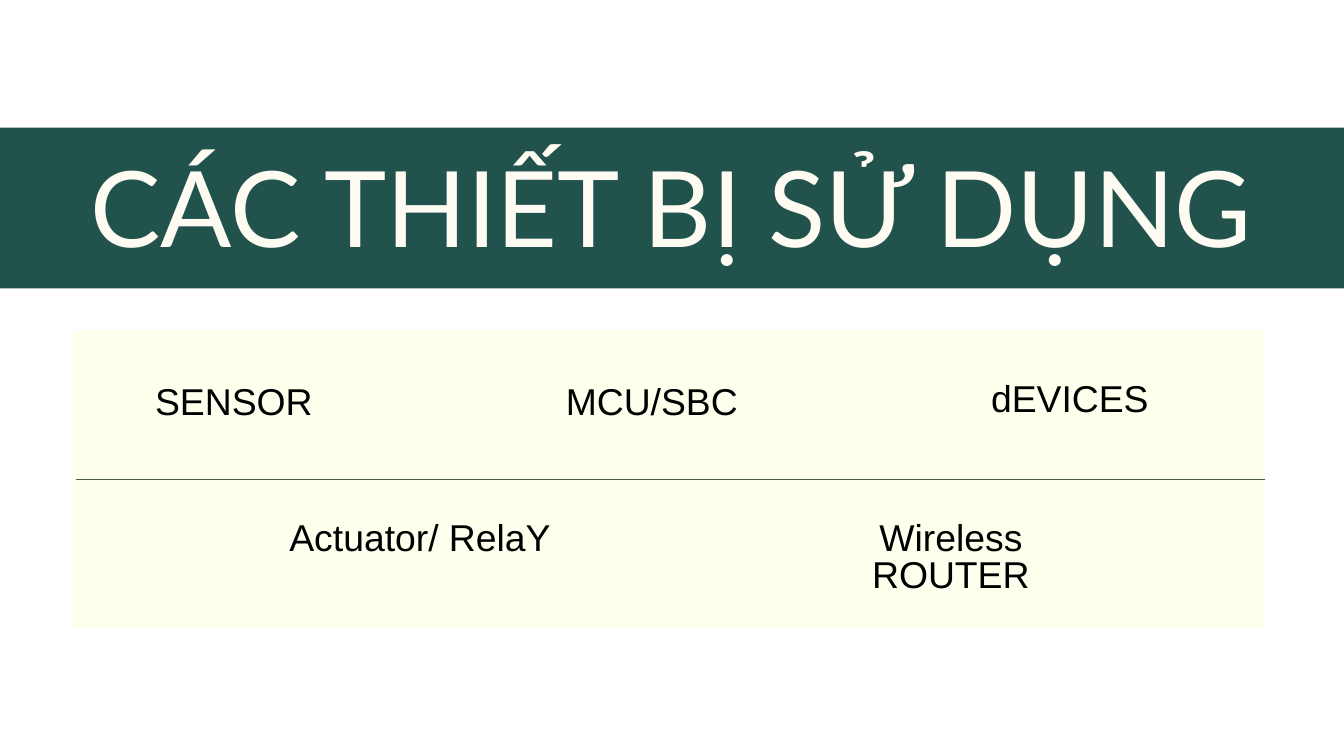
from typing import NamedTuple

from lxml import etree
from pptx import Presentation
from pptx.dml.color import RGBColor
from pptx.enum import shapes, text
from pptx.oxml.ns import qn
from pptx.util import Inches, Pt

HUES = {
    "green": "22524C",
    "cream": "FEFFED",
    "ivory": "FEFBF3",
    "black": "000000",
    "rule": "4B5D47",
}


class Box(NamedTuple):
    left: float
    top: float
    width: float
    height: float


class Label(NamedTuple):
    words: str
    box: Box


BAND = Box(0, 1.9, 20, 2.39)
PANEL = Box(1.07, 4.92, 17.75, 4.43)
TITLE = Box(1.12, 2.42, 17.75, 1.66)
LABELS = [
    Label("SENSOR", Box(1.39, 5.74, 4.18, 0.59)),
    Label("MCU/SBC", Box(7.6, 5.74, 4.2, 0.59)),
    Label("dEVICES", Box(13.82, 5.7, 4.2, 0.59)),
    Label("Actuator/ RelaY", Box(4.15, 7.76, 4.2, 1.14)),
    Label("Wireless\nROUTER", Box(12.05, 7.76, 4.2, 1.14)),
]


def color(name: str) -> RGBColor:
    return RGBColor.from_string(HUES[name])


def spans(box: Box) -> list[int]:
    return [Inches(side) for side in box]


def block(slide, box: Box, fill: str):
    shape = slide.shapes.add_shape(shapes.MSO_SHAPE.RECTANGLE, *spans(box))
    shape.shadow.inherit = False
    shape.fill.solid()
    shape.fill.fore_color.rgb = color(fill)
    shape.line.fill.background()
    return shape


def write(shape, words: str, *, size: float, font: str, hue: str) -> None:
    frame = shape.text_frame
    frame.word_wrap = True
    frame.auto_size = text.MSO_AUTO_SIZE.NONE
    frame.vertical_anchor = text.MSO_ANCHOR.TOP
    frame.margin_left = frame.margin_right = 0
    frame.margin_top = frame.margin_bottom = 0
    frame.text = words
    for para in frame.paragraphs:
        para.alignment = text.PP_ALIGN.CENTER
        para.line_spacing = Pt(size)
        para.space_before = Pt(0)
        para.font.size = Pt(size)
        para.font.name = font
        para.font.color.rgb = color(hue)


def head(slide, band) -> None:
    title = slide.shapes.title
    title.left, title.top, title.width, title.height = spans(TITLE)
    write(title, "CÁC THIẾT BỊ SỬ DỤNG", size=113, font="Lato", hue="ivory")
    band.element.addnext(title.element)


def rule(slide, panel) -> None:
    middle = Inches(PANEL.top + PANEL.height / 2)
    line = slide.shapes.add_connector(
        shapes.MSO_CONNECTOR.STRAIGHT,
        Inches(1.13), middle, Inches(PANEL.left + PANEL.width), middle,
    )
    line.end_connect(panel, 3)
    line.line.color.rgb = color("rule")
    line.line.width = Pt(0.75)
    etree.SubElement(line.element.spPr, qn("a:effectLst"))


def main() -> None:
    deck = Presentation()
    deck.slide_width, deck.slide_height = Inches(20), Inches(11.25)
    slide = deck.slides.add_slide(deck.slide_layouts[5])
    band = block(slide, BAND, "green")
    panel = block(slide, PANEL, "cream")
    head(slide, band)
    rule(slide, panel)
    for label in LABELS:
        shape = slide.shapes.add_textbox(*spans(label.box))
        write(shape, label.words, size=40, font="Arial", hue="black")
    deck.save("out.pptx")


if __name__ == "__main__":
    main()
